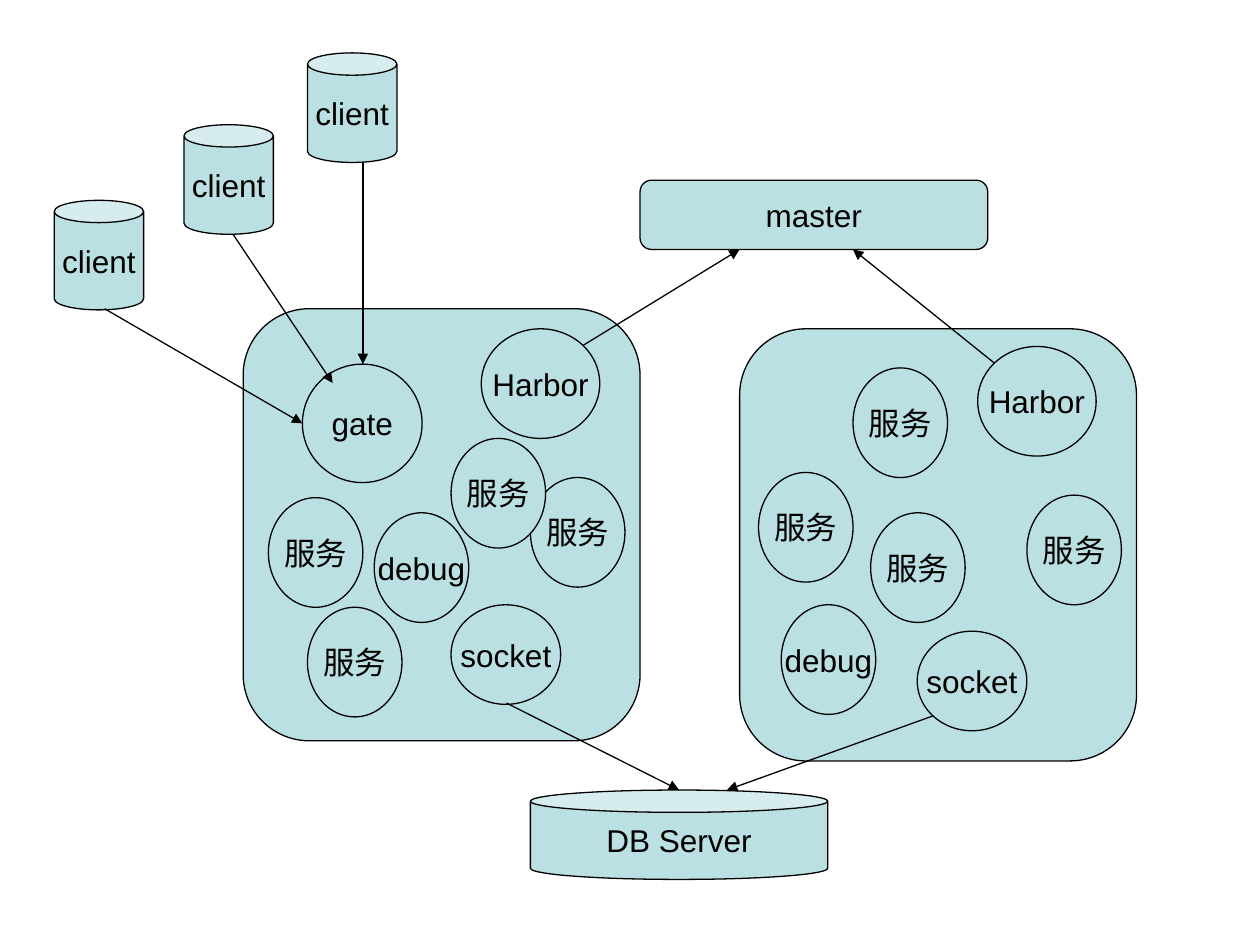
from lxml.etree import SubElement
from pptx import Presentation
from pptx.dml.color import RGBColor
from pptx.enum.shapes import MSO_CONNECTOR, MSO_SHAPE
from pptx.enum.text import MSO_ANCHOR, PP_ALIGN
from pptx.oxml.ns import qn
from pptx.util import Inches, Pt

BLACK = RGBColor(0x00, 0x00, 0x00)
PALE_TEAL = RGBColor(0xBB, 0xE0, 0xE3)
FONT = "Arial"
LINE_WIDTH = Pt(0.75)

CAN, ELLIPSE, ROUNDED = MSO_SHAPE.CAN, MSO_SHAPE.OVAL, MSO_SHAPE.ROUNDED_RECTANGLE
CORNER = {ROUNDED: 0.167, CAN: 0.25}

CLIENT_SIZE = (0.71, 0.87)
PANEL_SIZE = (3.15, 3.43)
HARBOR_SIZE = (0.94, 0.87)
SOCKET_SIZE = (0.87, 0.79)
SERVICE_SIZE = (0.75, 0.87)

# Each group: preset, size, then (text, left, top) from back to front
GROUPS = [
    (ROUNDED, (2.76, 0.55), [("master", 5.08, 1.43)]),
    (CAN, (2.36, 0.71), [("DB Server", 4.21, 6.27)]),
    (ROUNDED, PANEL_SIZE, [("", 1.93, 2.45), ("", 5.87, 2.61)]),
    (CAN, CLIENT_SIZE, [("client", 1.46, 0.99), ("client", 2.44, 0.42),
                        ("client", 0.43, 1.59)]),
    (ELLIPSE, HARBOR_SIZE, [("Harbor", 3.82, 2.61), ("Harbor", 7.76, 2.75)]),
    (ELLIPSE, (0.95, 0.94), [("gate", 2.4, 2.89)]),
    (ELLIPSE, SOCKET_SIZE, [("socket", 3.58, 4.8), ("socket", 7.28, 5.01)]),
    (ELLIPSE, SERVICE_SIZE, [
        ("服务", 2.13, 3.95), ("服务", 2.44, 4.82), ("服务", 4.21, 3.79),
        ("服务", 3.58, 3.48), ("服务", 6.02, 3.75), ("服务", 6.91, 4.07),
        ("服务", 8.15, 3.93), ("服务", 6.77, 2.92),
        ("debug", 2.97, 4.07), ("debug", 6.2, 4.8)]),
]

ARROWS = [
    # clients to gate
    ((0.83, 2.45), (2.4, 3.36)),
    ((1.85, 1.86), (2.64, 3.04)),
    ((2.88, 1.29), (2.88, 2.89)),
    # harbors to master
    ((4.63, 2.74), (5.87, 1.98)),
    ((7.89, 2.88), (6.77, 1.98)),
    # sockets to DB Server
    ((7.41, 5.68), (5.77, 6.27)),
    ((4.02, 5.58), (5.39, 6.27)),
]


def write_text(shape, text, size=18, color=BLACK, align=PP_ALIGN.CENTER):
    frame = shape.text_frame
    frame.word_wrap = False
    frame.vertical_anchor = MSO_ANCHOR.MIDDLE
    paragraph = frame.paragraphs[0]
    paragraph.alignment = align
    run = paragraph.add_run()
    run.text = text
    run.font.name = FONT
    run.font.size = Pt(size)
    run.font.color.rgb = color


def add_node(slide, preset, size, text, left, top):
    shape = slide.shapes.add_shape(preset, *map(Inches, (left, top, *size)))
    shape.shadow.inherit = False
    if preset in CORNER:
        shape.adjustments[0] = CORNER[preset]
    shape.fill.solid()
    shape.fill.fore_color.rgb = PALE_TEAL
    shape.line.color.rgb = BLACK
    shape.line.width = LINE_WIDTH
    if text:
        write_text(shape, text)


def add_arrow(slide, start, end):
    connector = slide.shapes.add_connector(
        MSO_CONNECTOR.STRAIGHT, *map(Inches, (*start, *end)))
    connector.line.color.rgb = BLACK
    connector.line.width = LINE_WIDTH
    properties = connector._element.spPr
    SubElement(properties.find(qn("a:ln")), qn("a:tailEnd"), type="triangle")
    SubElement(properties, qn("a:effectLst"))


def main():
    presentation = Presentation()
    presentation.slide_width, presentation.slide_height = Inches(10), Inches(7.5)
    slide = presentation.slides.add_slide(presentation.slide_layouts[6])
    for preset, size, nodes in GROUPS:
        for text, left, top in nodes:
            add_node(slide, preset, size, text, left, top)
    for start, end in ARROWS:
        add_arrow(slide, start, end)
    presentation.save("out.pptx")


if __name__ == "__main__":
    main()
